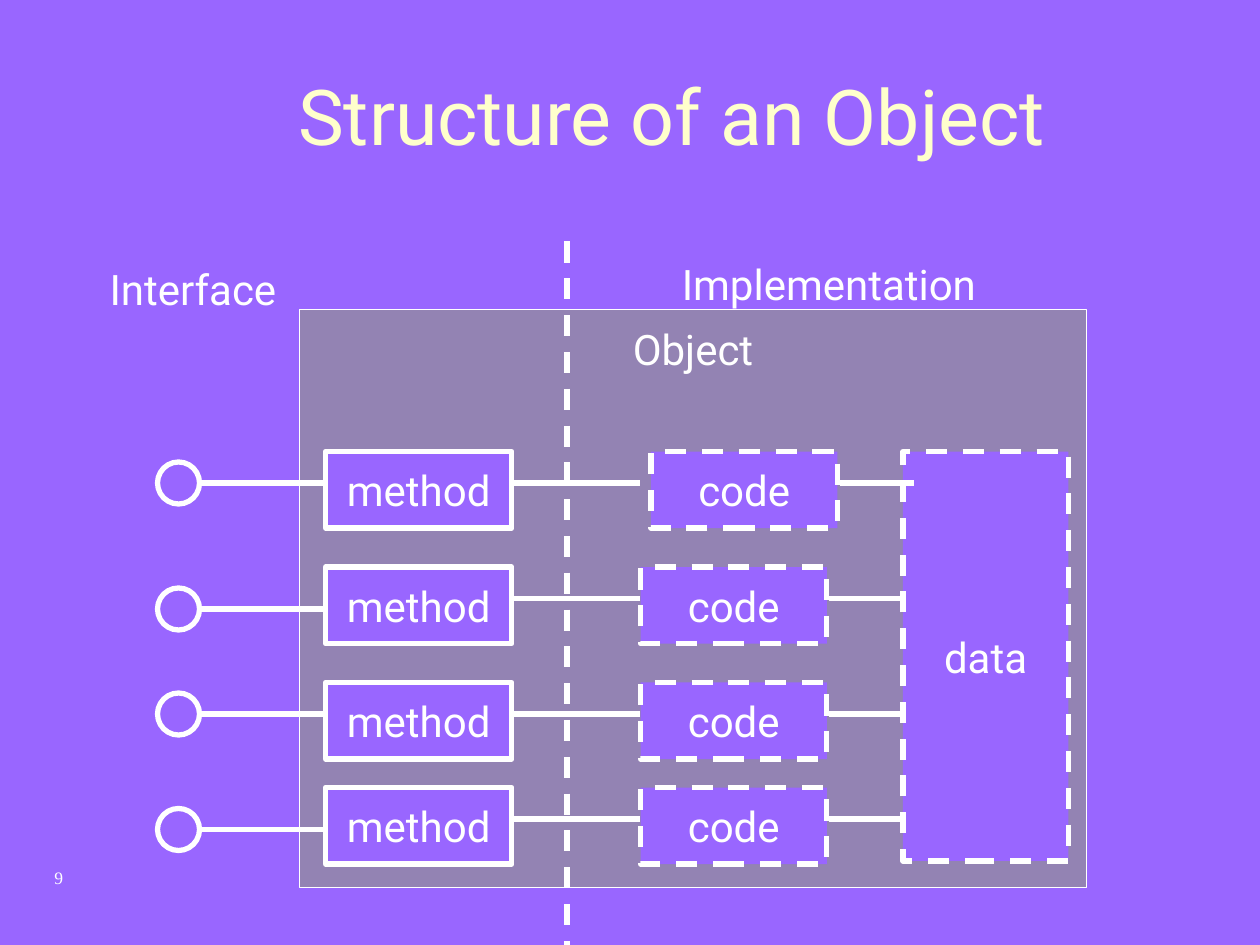
from dataclasses import dataclass

from pptx import Presentation
from pptx.dml.color import RGBColor
from pptx.enum.dml import MSO_LINE
from pptx.enum.shapes import MSO_CONNECTOR, MSO_SHAPE
from pptx.enum.text import MSO_ANCHOR, PP_ALIGN
from pptx.oxml.ns import qn
from pptx.util import Inches, Pt

RECT, OVAL = MSO_SHAPE.RECTANGLE, MSO_SHAPE.OVAL
STRAIGHT, DASH = MSO_CONNECTOR.STRAIGHT, MSO_LINE.DASH
LEFT, CENTER = PP_ALIGN.LEFT, PP_ALIGN.CENTER
TOP, MIDDLE = MSO_ANCHOR.TOP, MSO_ANCHOR.MIDDLE
CELLS_PER_INCH = 12
TITLE_ONLY = 5


@dataclass(frozen=True)
class Theme:
    """Colours, fonts, type sizes and line widths of the slide."""
    purple: RGBColor = RGBColor(0x99, 0x66, 0xFF)
    panel: RGBColor = RGBColor(0x93, 0x83, 0xB3)
    white: RGBColor = RGBColor(0xFF, 0xFF, 0xFF)
    cream: RGBColor = RGBColor(0xFF, 0xFF, 0xCC)
    font: str = "Roboto"
    number_font: str = "Times New Roman"
    title: int = 44
    label: int = 24
    number: int = 10
    thin: float = 0.75
    thick: float = 3


THEME = Theme()


def grid(*cells):
    """Turn grid cells into slide lengths."""
    return [Inches(c / CELLS_PER_INCH) for c in cells]


def write(tf, text, size=THEME.label, color=THEME.white, font=THEME.font,
          align=CENTER, anchor=MIDDLE, wrap=False):
    """Set and format the single paragraph of a text frame."""
    tf.text = text
    tf.word_wrap = wrap
    tf.vertical_anchor = anchor
    p = tf.paragraphs[0]
    p.alignment = align
    f = p.runs[0].font
    f.size, f.name, f.color.rgb = Pt(size), font, color


def add_line(s, x1, y1, x2, y2, dash=None):
    """Draw a thick white line between two grid points."""
    c = s.shapes.add_connector(STRAIGHT, *grid(x1, y1, x2, y2))
    c.line.color.rgb, c.line.width = THEME.white, Pt(THEME.thick)
    if dash:
        c.line.dash_style = dash
    sp_pr = c._element.spPr
    sp_pr.append(sp_pr.makeelement(qn("a:effectLst"), {}))


def add_box(s, box, text="", kind=RECT, fill=THEME.purple,
            width=THEME.thick, dash=None, anchor=MIDDLE):
    """Draw an outlined shape with an optional centred label."""
    sp = s.shapes.add_shape(kind, *grid(*box))
    sp.shadow.inherit = False
    sp.fill.solid()
    sp.fill.fore_color.rgb = fill
    sp.line.color.rgb, sp.line.width = THEME.white, Pt(width)
    if dash:
        sp.line.dash_style = dash
    if text:
        write(sp.text_frame, text, anchor=anchor)
    return sp


def add_label(s, box, text, **style):
    """Place left-aligned text at the top of a box."""
    tb = s.shapes.add_textbox(*grid(*box))
    write(tb.text_frame, text, align=LEFT, anchor=TOP, **style)


def add_title(s, box, text):
    """Move and format the title placeholder."""
    title = s.shapes.title
    title.left, title.top, title.width, title.height = grid(*box)
    write(title.text_frame, text, size=THEME.title, color=THEME.cream, wrap=True)


def add_method_row(s, box, code_shift, pin_drop):
    """Draw a pin, a method and its code, linked across the row box."""
    x, y, w, h = box
    box_w, pin, link_y = 17.75, 4, y + 3
    method_x, code_x = x + 16, x + 46
    pin_y = y + pin_drop
    add_box(s, (method_x, y, box_w, h), "method")
    add_box(s, (code_x + code_shift, y, box_w, h), "code", dash=DASH)
    add_line(s, method_x + 18, link_y, code_x, link_y)
    add_line(s, code_x + 18 + code_shift, link_y, x + w + code_shift, link_y)
    add_line(s, x + pin, pin_y + pin / 2, method_x, pin_y + pin / 2)
    add_box(s, (x, pin_y, pin, pin), kind=OVAL)


def add_object(s, box):
    """Draw the object panel with its data store and method rows."""
    x, y, w, h = box
    panel = add_box(s, box, "Object", fill=THEME.panel, width=THEME.thin, anchor=TOP)
    panel.text_frame.margin_top = Inches(0.11)
    first = y + 13.5
    add_box(s, (x + 57.5, first, 15.75, h - 16), "data", dash=DASH)
    for drop, code_shift, pin_drop in ((0, 1, 1), (11, 0, 2), (22, 0, 1), (32, 0, 2)):
        add_method_row(s, (x - 13.5, first + drop, 71, 7.3), code_shift, pin_drop)


def add_sides(s, box):
    """Name the two sides and split them with a dashed divider."""
    x, y, w, h = box
    add_label(s, (x, y + 1.5, 19.3, 6), "Interface")
    add_label(s, (x + 54.5, y + 1, 32.8, 6), "Implementation")
    add_line(s, x + 44.75, y, x + 44.75, y + h, DASH)


def main():
    """Build the slide and save it."""
    prs = Presentation()
    prs.slide_width, prs.slide_height = Inches(10), Inches(7.5)
    s = prs.slides.add_slide(prs.slide_layouts[TITLE_ONLY])
    s.background.fill.solid()
    s.background.fill.fore_color.rgb = THEME.purple
    add_label(s, (4, 82, 30, 6.25), "9", size=THEME.number,
              font=THEME.number_font, wrap=True)
    add_title(s, (8, 3.4, 112, 15), "Structure of an Object")
    add_object(s, (28.5, 29.5, 75, 55))
    add_sides(s, (9.25, 23, 87.3, 67))
    prs.save("out.pptx")


if __name__ == "__main__":
    main()
